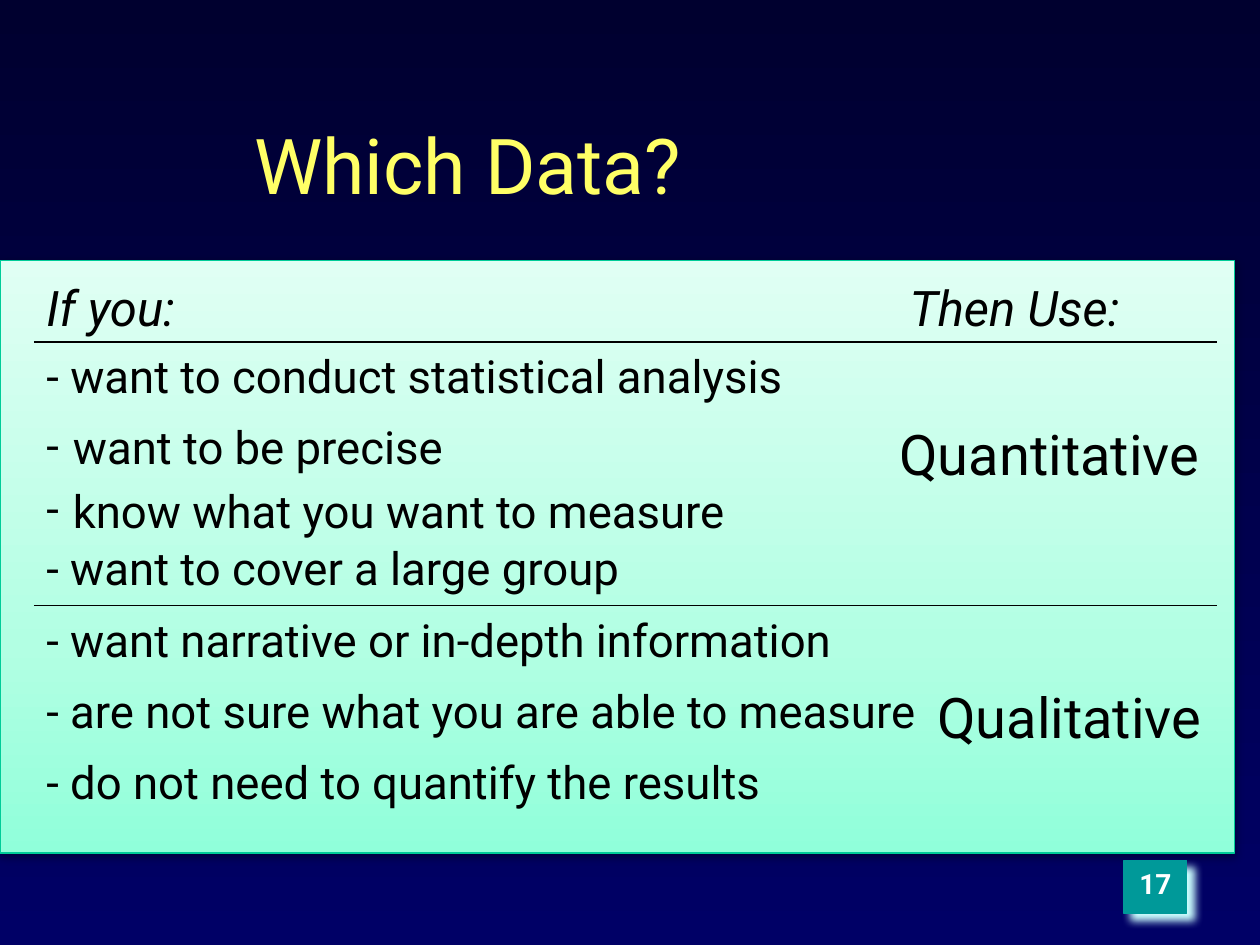
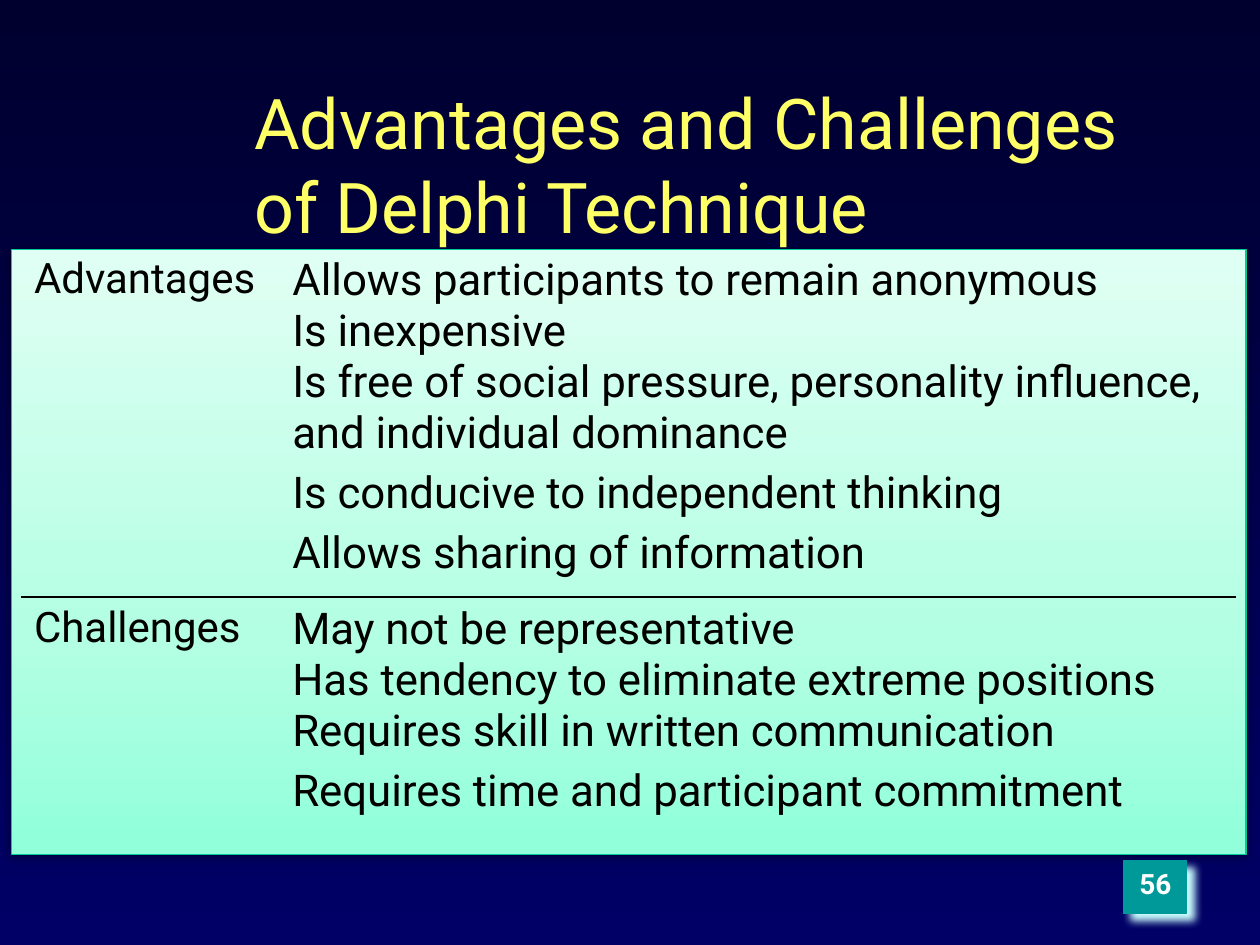
from lxml import etree
from pptx import Presentation
from pptx.dml.color import RGBColor
from pptx.enum import shapes, text
from pptx.oxml import ns
from pptx.util import Inches, Pt

FONT = "Roboto"
BLACK = RGBColor(0x00, 0x00, 0x00)
WHITE = RGBColor(0xFF, 0xFF, 0xFF)
YELLOW = RGBColor(0xFF, 0xFF, 0x66)
TEAL = RGBColor(0x00, 0x99, 0x99)
PANEL_EDGE = RGBColor(0x00, 0xCC, 0x98)
BADGE_SHADOW = RGBColor(0xCC, 0xFF, 0xFF)
NIGHT = [(0, RGBColor(0x00, 0x00, 0x2F)), (100, RGBColor(0x00, 0x00, 0x66))]
MINT = [(0, RGBColor(0x90, 0xFF, 0xDA)), (35, RGBColor(0xB2, 0xFF, 0xE3)),
        (100, RGBColor(0xE0, 0xFF, 0xF4))]
NO_TABLE_STYLE = "{2D5ABB26-0587-4C30-8999-92F81FD0307C}"

TITLE_BOX = (1.92, 0.67, 7.33, 1.25)
BADGE_BOX = (8.92, 6.83, 0.5, 0.42)
DATA_BOX = (0, 2.07, 9.8, 4.7)
DELPHI_BOX = (0.09, 1.98, 9.8, 4.8)

DELPHI_ROWS = [
    ("Advantages", 2.77, [
        ("Allows participants to remain anonymous", 0),
        ("Is inexpensive", 0),
        ("Is free of social pressure, personality influence, and individual dominance", 0),
        ("Is conducive to independent thinking", 5),
        ("Allows sharing of information", 5)]),
    ("Challenges", 2.04, [
        ("May not be representative", 0),
        ("Has tendency to eliminate extreme positions", 0),
        ("Requires skill in written communication", 0),
        ("Requires time and participant commitment", 5)]),
]


def sub(parent, tag, **attrs):
    """Append a DrawingML child with the given attributes."""
    return etree.SubElement(parent, ns.qn(tag), {k: str(v) for k, v in attrs.items()})


def gradient(owner, fill, stops, angle):
    """Give a shape or background a linear gradient."""
    fill.gradient()
    grad = owner.element.find(".//" + ns.qn("a:gradFill"))
    for child in list(grad):
        grad.remove(child)
    stop_list = sub(grad, "a:gsLst")
    for pos, color in stops:
        sub(sub(stop_list, "a:gs", pos=pos * 1000), "a:srgbClr", val=color)
    sub(grad, "a:lin", ang=angle * 60000, scaled=0)


def shadow(sp, color, alpha, blur, distance, angle):
    """Replace the theme shadow with an outer shadow."""
    sp.shadow.inherit = False
    effects = sp.element.spPr.find(ns.qn("a:effectLst"))
    outer = sub(effects, "a:outerShdw", blurRad=Pt(blur), dist=Pt(distance),
                dir=angle * 60000, algn="ctr", rotWithShape=0)
    sub(sub(outer, "a:srgbClr", val=color), "a:alpha", val=alpha * 1000)


def add_run(p, words, size, color=BLACK, bold=False, italic=False):
    """Add one styled run to a paragraph."""
    r = p.add_run()
    r.text = words
    f = r.font
    f.name, f.size, f.bold, f.italic = FONT, Pt(size), bold, italic
    f.color.rgb = color


def add_lines(tf, lines, size):
    """Fill a text frame with (words, space before) paragraphs."""
    for i, (words, space) in enumerate(lines):
        p = tf.add_paragraph() if i else tf.paragraphs[0]
        if i:
            p.space_before = Pt(space)
        add_run(p, words, size)


def add_text(s, box):
    """Add an empty wrapping text box and return its frame."""
    tf = s.shapes.add_textbox(*map(Inches, box)).text_frame
    tf.word_wrap = True
    return tf


def add_label(s, box, words, size, **style):
    """Add a text box holding one line."""
    add_run(add_text(s, box).paragraphs[0], words, size, **style)


def add_rect(s, box, edge):
    """Add a thinly outlined rectangle."""
    sp = s.shapes.add_shape(shapes.MSO_SHAPE.RECTANGLE, *map(Inches, box))
    sp.line.color.rgb = edge
    sp.line.width = Pt(0.75)
    return sp


def add_rule(s, left, top, width):
    """Draw a black horizontal line."""
    line = s.shapes.add_connector(shapes.MSO_CONNECTOR.STRAIGHT, Inches(left), Inches(top),
                                  Inches(left + width), Inches(top))
    line.line.color.rgb = BLACK
    line.line.width = Pt(1)
    sub(line.element.spPr, "a:effectLst")


def add_dashes(s, box, lines):
    """Add a hanging list with dash bullets."""
    tf = add_text(s, box)
    add_lines(tf, [(words, 5.2) for words in lines], 26)
    for p in tf.paragraphs:
        pPr = p._p.get_or_add_pPr()
        pPr.set("marL", str(Inches(0.21)))
        pPr.set("indent", str(-Inches(0.21)))
        sub(sub(pPr, "a:buClr"), "a:srgbClr", val=BLACK)
        sub(pPr, "a:buFont", typeface=FONT)
        sub(pPr, "a:buChar", char="-")


def base_slide(prs, title, size, number, panel_box):
    """Add a slide with background, panel, number badge and title."""
    s = prs.slides.add_slide(prs.slide_layouts[6])
    gradient(s, s.background.fill, NIGHT, 90)
    panel = add_rect(s, panel_box, PANEL_EDGE)
    gradient(panel, panel.fill, MINT, 270)
    shadow(panel, BLACK, 38, 5, 1.6, 90)
    badge = add_rect(s, BADGE_BOX, TEAL)
    badge.fill.solid()
    badge.fill.fore_color.rgb = TEAL
    shadow(badge, BADGE_SHADOW, 100, 5, 5.7, 45)
    badge.text_frame.vertical_anchor = text.MSO_ANCHOR.TOP
    p = badge.text_frame.paragraphs[0]
    p.alignment = text.PP_ALIGN.CENTER
    add_run(p, number, 16, WHITE, bold=True)
    tf = add_text(s, TITLE_BOX)
    tf.vertical_anchor = text.MSO_ANCHOR.MIDDLE
    add_run(tf.paragraphs[0], title, size, YELLOW)
    return s


def data_choice(s, box):
    """Lay out conditions on the left and the data type on the right."""
    left, top = box[0] + 0.27, box[1] + 0.08
    step, width = 0.565, 6.72
    lower = top + 2.09

    add_label(s, (left, top, width, step), "If you:", 28, italic=True)
    add_label(s, (left + 6.85, top, 2.55, step), "Then Use:", 28, italic=True)
    add_label(s, (left, top + step, width, step), "- want to conduct statistical analysis", 26)
    add_dashes(s, (left, top + 2 * step, width, 0.97),
               ["want to be precise", "know what you want to measure"])
    for i, words in enumerate(["- want to cover a large group",
                               "- want narrative or in-depth information",
                               "- are not sure what you are able to measure",
                               "- do not need to quantify the results"]):
        add_label(s, (left, lower + i * step, 7.24, step), words, 26)
    for start, offset, words in [(top, 6.77, "Quantitative"), (lower, 7.07, "Qualitative")]:
        add_rule(s, left, start + step, 9.39)
        add_label(s, (left + offset, start + 2 * step, 9.4 - offset, 0.64), words, 32)


def delphi_table(s, box):
    """Place the two-row table of advantages and challenges."""
    widths = (2.05, 7.59)
    frame = s.shapes.add_table(len(DELPHI_ROWS), 2, Inches(box[0] + 0.08), Inches(box[1] - 0.01),
                               Inches(sum(widths)), Inches(sum(r[1] for r in DELPHI_ROWS)))
    table = frame.table
    table.first_row = table.horz_banding = False
    frame.element.find(".//" + ns.qn("a:tableStyleId")).text = NO_TABLE_STYLE
    for column, width in zip(table.columns, widths):
        column.width = Inches(width)
    for i, (heading, height, lines) in enumerate(DELPHI_ROWS):
        table.rows[i].height = Inches(height)
        add_lines(table.cell(i, 0).text_frame, [(heading, 0)], 24)
        add_lines(table.cell(i, 1).text_frame, lines, 25)
        for cell in table.rows[i].cells:
            edge = sub(cell._tc.get_or_add_tcPr(), "a:lnT" if i else "a:lnB", w=Pt(1))
            sub(sub(edge, "a:solidFill"), "a:srgbClr", val=BLACK)
            cell.fill.background()


def main():
    """Build and save the two slides."""
    prs = Presentation()
    prs.slide_width, prs.slide_height = Inches(10), Inches(7.5)
    data_choice(base_slide(prs, "Which Data?", 44, "17", DATA_BOX), DATA_BOX)
    delphi_table(base_slide(prs, "Advantages and Challenges of Delphi Technique", 40, "56",
                            DELPHI_BOX), DELPHI_BOX)
    prs.save("out.pptx")


if __name__ == "__main__":
    main()
